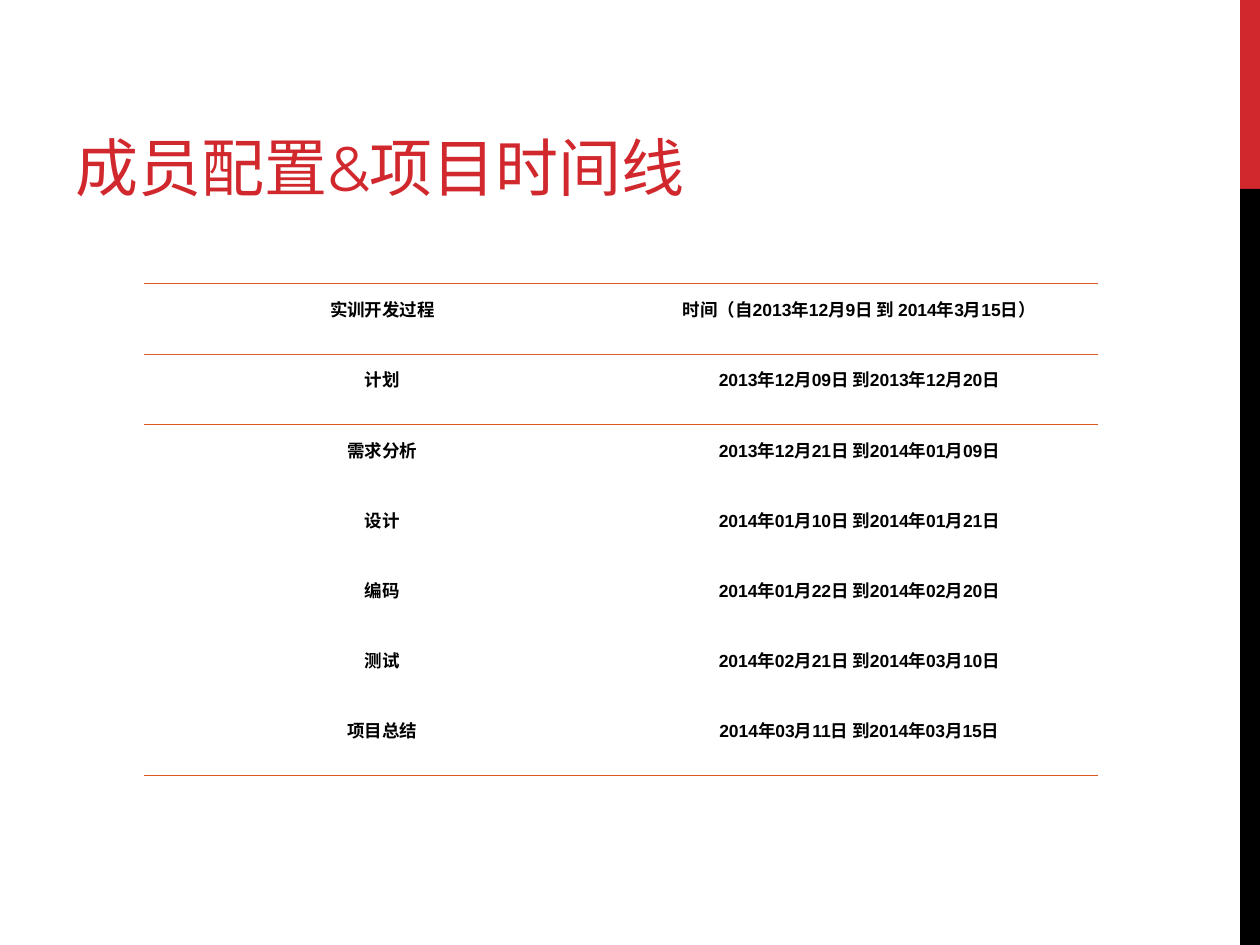
"""Build a slide with the project title and a schedule table."""
from lxml.etree import SubElement
from pptx import Presentation
from pptx.dml.color import RGBColor
from pptx.enum.shapes import MSO_SHAPE
from pptx.enum.text import MSO_ANCHOR, MSO_AUTO_SIZE, PP_ALIGN
from pptx.oxml.ns import qn
from pptx.util import Cm, Pt

COLORS = {"red": "D1282E", "black": "000000", "rule": "DC5924"}
TITLE_BOX = {"left": Cm(1.27), "top": Cm(0.43), "width": Cm(16.08), "height": Cm(3.81)}
TITLE_FRAME = {"vertical_anchor": MSO_ANCHOR.BOTTOM, "auto_size": MSO_AUTO_SIZE.NONE, "word_wrap": True}
TITLE_FONT = {"name": "Montserrat", "size": Pt(36)}
CELL_FORMAT = {"margin_left": Cm(0.2), "margin_right": Cm(0.2), "margin_top": Cm(0.13), "margin_bottom": Cm(0.13)}
CELL_PARAGRAPH = {"alignment": PP_ALIGN.CENTER, "line_spacing": 1.25}
CELL_FONT = {"name": "Arial", "size": Pt(10), "bold": True}
PLAIN_TABLE_STYLE = "{2D5ABB26-0587-4C30-8999-92F81FD0307C}"

SCHEDULE = [
    ("实训开发过程", "时间（自2013年12月9日 到 2014年3月15日）"),
    ("计划", "2013年12月09日 到2013年12月20日"),
    ("需求分析", "2013年12月21日 到2014年01月09日"),
    ("设计", "2014年01月10日 到2014年01月21日"),
    ("编码", "2014年01月22日 到2014年02月20日"),
    ("测试", "2014年02月21日 到2014年03月10日"),
    ("项目总结", "2014年03月11日 到2014年03月15日"),
]
RULED_EDGES = {0: ("a:lnT", "a:lnB"), 1: ("a:lnT",), len(SCHEDULE) - 1: ("a:lnB",)}


def apply_format(target, values):
    for name, value in values.items():
        setattr(target, name, value)


def add_border(cell, edge):
    line = SubElement(cell._tc.get_or_add_tcPr(), qn(edge), w=str(Pt(0.45)))
    fill = SubElement(line, qn("a:solidFill"))
    SubElement(fill, qn("a:srgbClr"), val=COLORS["rule"])


presentation = Presentation()
presentation.slide_width, presentation.slide_height = Cm(25.4), Cm(19.05)
slide = presentation.slides.add_slide(presentation.slide_layouts[5])

for color, top, height in (("red", 0, 3.81), ("black", 3.81, 15.24)):
    band = slide.shapes.add_shape(MSO_SHAPE.RECTANGLE, Cm(25), Cm(top), Cm(0.4), Cm(height))
    band.shadow.inherit = False
    band.fill.solid()
    band.fill.fore_color.rgb = RGBColor.from_string(COLORS[color])
    band.line.fill.background()

title = slide.shapes.title
apply_format(title, TITLE_BOX)
apply_format(title.text_frame, TITLE_FRAME)
title.text_frame.text = "成员配置&项目时间线"
paragraph = title.text_frame.paragraphs[0]
paragraph.alignment = PP_ALIGN.LEFT
apply_format(paragraph.runs[0].font, TITLE_FONT)
paragraph.runs[0].font.color.rgb = RGBColor.from_string(COLORS["red"])

table = slide.shapes.add_table(len(SCHEDULE), 2, Cm(2.9), Cm(5.72), Cm(19.23), Cm(9.91)).table
apply_format(table, {"first_row": False, "horz_banding": False})
table._tbl.tblPr.find(qn("a:tableStyleId")).text = PLAIN_TABLE_STYLE

for row_index, row in enumerate(SCHEDULE):
    for column_index, text in enumerate(row):
        cell = table.cell(row_index, column_index)
        apply_format(cell, CELL_FORMAT)
        for edge in RULED_EDGES.get(row_index, ()):
            add_border(cell, edge)
        cell.fill.background()
        cell.text = text
        paragraph = cell.text_frame.paragraphs[0]
        apply_format(paragraph, CELL_PARAGRAPH)
        apply_format(paragraph.runs[0].font, CELL_FONT)
        paragraph.runs[0].font.color.rgb = RGBColor.from_string(COLORS["black"])

presentation.save("out.pptx")
